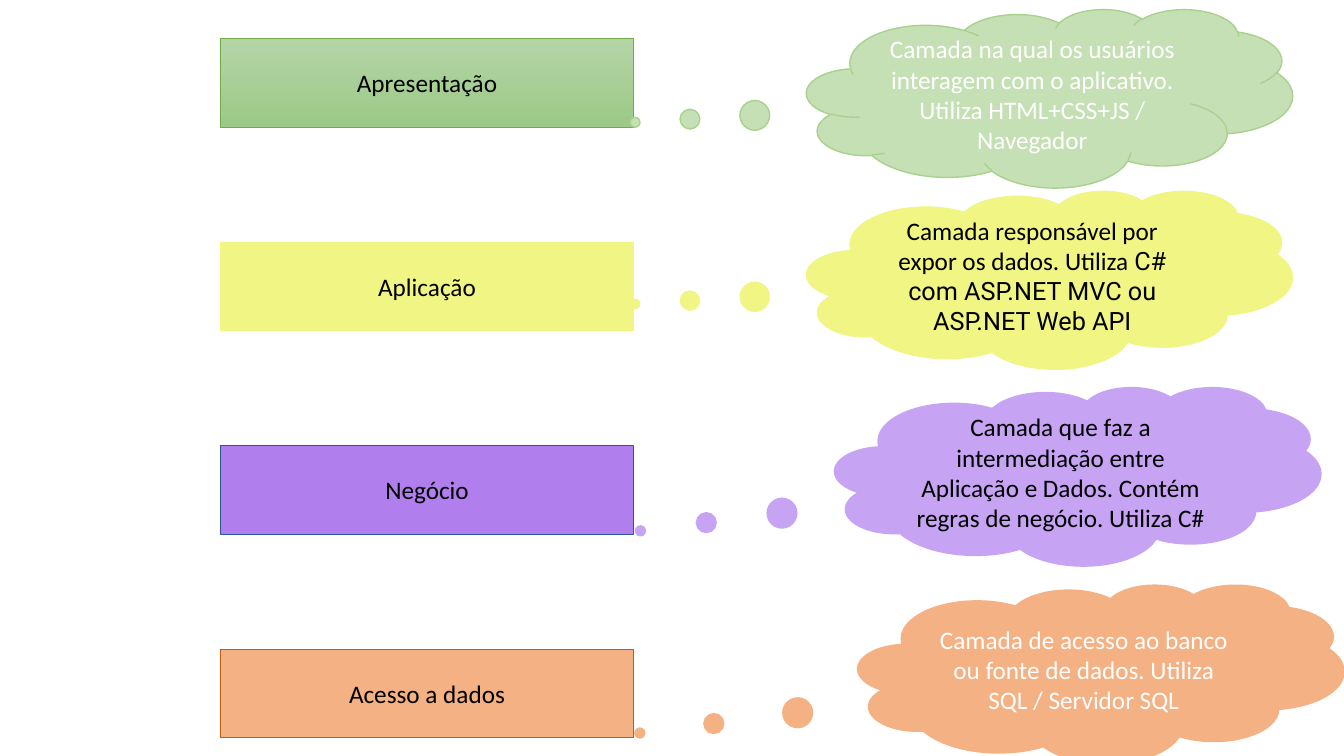
from pptx import Presentation
from pptx.dml.color import RGBColor
from pptx.enum.shapes import MSO_SHAPE as Shape
from pptx.enum.text import MSO_ANCHOR as Anchor, PP_ALIGN as Align
from pptx.util import Inches, Pt

BLACK, WHITE = "000000", "FFFFFF"
GREEN, YELLOW, PURPLE, ORANGE = "C5E0B4", "F0F583", "C7A3F3", "F4B183"
TOP, PITCH = 0.38, 2.02

# Box: text, fill (two colours make a gradient), line colour
# Cloud: left, top, tail, fill, line colour, line width, text colour, runs
LAYERS = [
    (("Apresentação", ("B5D5A7", "9CC987"), "70AD47"),
     (8, 0.09, (-0.853, 0.135), GREEN, "A9D18E", 1, WHITE,
      [("Camada na qual os usuários interagem com o aplicativo. "
        "Utiliza HTML+CSS+JS / Navegador", "Calibri")])),
    (("Aplicação", (YELLOW,), YELLOW),
     (8, 1.89, (-0.853, 0.135), YELLOW, YELLOW, 0.5, BLACK,
      [("Camada responsável por expor os dados. Utiliza ", "Calibri"),
       ("C# com ASP.NET MVC ou ASP.NET Web API", "Roboto")])),
    (("Negócio", ("B17EEE",), "2F5597"),
     (8.28, 3.84, (-0.9, 0.306), PURPLE, PURPLE, 1, BLACK,
      [("Camada que faz a intermediação entre Aplicação e Dados. "
        "Contém regras de negócio. Utiliza C#", "Calibri")])),
    (("Acesso a dados", (ORANGE,), "C55A11"),
     (8.51, 5.8, (-0.949, 0.332), ORANGE, ORANGE, 1, WHITE,
      [("Camada de acesso ao banco ou fonte de dados. "
        "Utiliza SQL / Servidor SQL", "Calibri")])),
]


def color(code):
    return RGBColor.from_string(code)


def apply(target, values):
    for name, value in values.items():
        setattr(target, name, value)


class Deck:
    font = {"size": Pt(18)}
    frame = {"word_wrap": True, "vertical_anchor": Anchor.MIDDLE}

    def __init__(self, slide):
        self.slide = slide

    def shape(self, kind, area, fills, line, width):
        item = self.slide.shapes.add_shape(kind, *map(Inches, area))
        item.shadow.inherit = False
        if len(fills) > 1:
            item.fill.gradient()
            item.fill.gradient_angle = 270
            for stop, code in zip(item.fill.gradient_stops, fills):
                stop.color.rgb = color(code)
        else:
            item.fill.solid()
            item.fill.fore_color.rgb = color(fills[0])
        item.line.color.rgb = color(line)
        item.line.width = Pt(width)
        return item

    def text(self, item, runs, code):
        apply(item.text_frame, self.frame)
        para = item.text_frame.paragraphs[0]
        para.alignment = Align.CENTER
        for words, face in runs:
            run = para.add_run()
            run.text = words
            apply(run.font, {**self.font, "name": face})
            run.font.color.rgb = color(code)

    def box(self, top, label, fills, line):
        item = self.shape(Shape.RECTANGLE, (2.19, top, 4.09, 0.88),
                          fills, line, 0.5)
        self.text(item, [(label, "Calibri")], BLACK)

    def cloud(self, left, top, tail, fill, line, width, ink, runs):
        item = self.shape(Shape.CLOUD_CALLOUT, (left, top, 4.82, 1.77),
                          (fill,), line, width)
        for index, value in enumerate(tail):
            item.adjustments[index] = value
        self.text(item, runs, ink)


def main():
    show = Presentation()
    apply(show, {"slide_width": Inches(13.33), "slide_height": Inches(7.5)})
    deck = Deck(show.slides.add_slide(show.slide_layouts[6]))
    for row, (box, cloud) in enumerate(LAYERS):
        deck.box(TOP + row * PITCH, *box)
        deck.cloud(*cloud)
    show.save("out.pptx")


if __name__ == "__main__":
    main()
